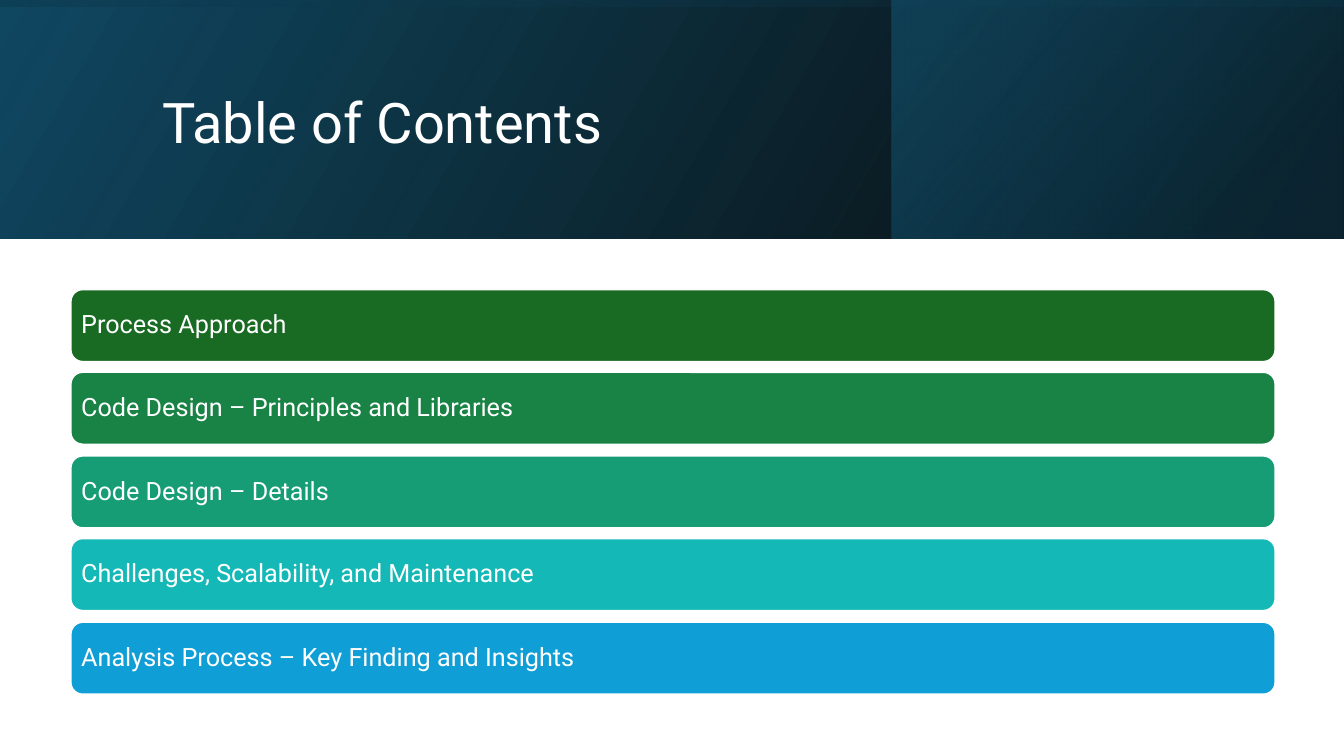
from dataclasses import dataclass

from lxml import etree
from pptx import Presentation
from pptx import util as u
from pptx.dml.color import RGBColor
from pptx.enum import shapes, text
from pptx.oxml import ns

PX = u.Inches(1) // 100


@dataclass(frozen=True)
class Theme:
    font: str = "Roboto"
    white: str = "FFFFFF"
    black: str = "000000"
    navy: str = "104862"
    deep: str = "0B3041"
    teal: str = "156082"
    title_size: int = 40
    bar_size: int = 18
    border: float = 1.5


@dataclass(frozen=True)
class Box:
    left: int
    top: int
    width: int
    height: int

    def emu(self) -> tuple[int, ...]:
        return tuple(v * PX for v in (self.left, self.top, self.width, self.height))


@dataclass(frozen=True)
class Stop:
    position: int
    color: str
    opacity: int = 100


@dataclass(frozen=True)
class Panel:
    box: Box
    stops: tuple[Stop, ...]
    angle: int
    rotation: int = 0


@dataclass(frozen=True)
class Entry:
    label: str
    color: str


THEME = Theme()
SLIDE_WIDTH, SLIDE_HEIGHT, BANNER_HEIGHT = 1333, 750, 237

PANELS = (
    Panel(Box(0, 0, SLIDE_WIDTH, BANNER_HEIGHT),
          (Stop(0, THEME.black, 96), Stop(100, THEME.navy)), 330),
    Panel(Box(884, 0, 448, BANNER_HEIGHT),
          (Stop(19, THEME.deep, 68), Stop(100, THEME.teal, 48)), 320),
    Panel(Box(548, -548, BANNER_HEIGHT, SLIDE_WIDTH),
          (Stop(23, THEME.navy, 16), Stop(99, THEME.black, 45)), 350, 270),
)
ENTRIES = (
    Entry("Process Approach", "196B24"),
    Entry("Code Design – Principles and Libraries", "198345"),
    Entry("Code Design – Details", "179D76"),
    Entry("Challenges, Scalability, and Maintenance", "14B8B7"),
    Entry("Analysis Process – Key Finding and Insights", "0F9ED5"),
)
TITLE_BOX = Box(151, 38, 1063, 172)
BAR_LEFT, BAR_WIDTH, BAR_HEIGHT = 70, 1195, 72
FIRST_TOP, LAST_TOP = 287, 617


def write(shape, label: str, size: int, margin_x: int, margin_y: int) -> None:
    frame = shape.text_frame
    paragraph = frame.paragraphs[0]
    run = paragraph.add_run()
    formats = {
        frame: {"word_wrap": True, "vertical_anchor": text.MSO_ANCHOR.MIDDLE,
                "margin_left": margin_x * PX, "margin_right": margin_x * PX,
                "margin_top": margin_y * PX, "margin_bottom": margin_y * PX},
        paragraph: {"alignment": text.PP_ALIGN.LEFT, "line_spacing": 0.9},
        run: {"text": label},
        run.font: {"name": THEME.font, "size": u.Pt(size)},
        run.font.color: {"rgb": RGBColor.from_string(THEME.white)},
    }
    for target, values in formats.items():
        for name, value in values.items():
            setattr(target, name, value)


def draw_panel(slide, panel: Panel) -> None:
    shape = slide.shapes.add_shape(shapes.MSO_SHAPE.RECTANGLE, *panel.box.emu())
    shape.shadow.inherit = False
    shape.line.fill.background()
    shape.rotation = panel.rotation
    properties = shape.element.spPr
    properties.xfrm.set("flipH", "1")

    # Gradient with translucent stops
    gradient = etree.Element(ns.qn("a:gradFill"), rotWithShape="1")
    stop_list = etree.SubElement(gradient, ns.qn("a:gsLst"))
    for stop in panel.stops:
        node = etree.SubElement(stop_list, ns.qn("a:gs"), pos=str(stop.position * 1000))
        color = etree.SubElement(node, ns.qn("a:srgbClr"), val=stop.color)
        etree.SubElement(color, ns.qn("a:alpha"), val=str(stop.opacity * 1000))
    etree.SubElement(gradient, ns.qn("a:lin"), ang=str(panel.angle * 60000), scaled="0")
    properties.find(ns.qn("a:prstGeom")).addnext(gradient)


def draw_bar(slide, entry: Entry, top: int) -> None:
    box = Box(BAR_LEFT, top, BAR_WIDTH, BAR_HEIGHT)
    shape = slide.shapes.add_shape(shapes.MSO_SHAPE.ROUNDED_RECTANGLE, *box.emu())
    shape.shadow.inherit = False
    shape.fill.solid()
    shape.fill.fore_color.rgb = RGBColor.from_string(entry.color)
    shape.line.color.rgb = RGBColor.from_string(THEME.white)
    shape.line.width = u.Pt(THEME.border)
    write(shape, entry.label, THEME.bar_size, 7, 7)


def main() -> None:
    presentation = Presentation()
    presentation.slide_width = SLIDE_WIDTH * PX
    presentation.slide_height = SLIDE_HEIGHT * PX
    slide = presentation.slides.add_slide(presentation.slide_layouts[6])

    # Banner
    for panel in PANELS:
        draw_panel(slide, panel)
    title = slide.shapes.add_textbox(*TITLE_BOX.emu())
    write(title, "Table of Contents", THEME.title_size, 10, 5)

    # Contents, evenly spaced
    for index, entry in enumerate(ENTRIES):
        offset = (LAST_TOP - FIRST_TOP) * index // (len(ENTRIES) - 1)
        draw_bar(slide, entry, FIRST_TOP + offset)

    presentation.save("out.pptx")


if __name__ == "__main__":
    main()
